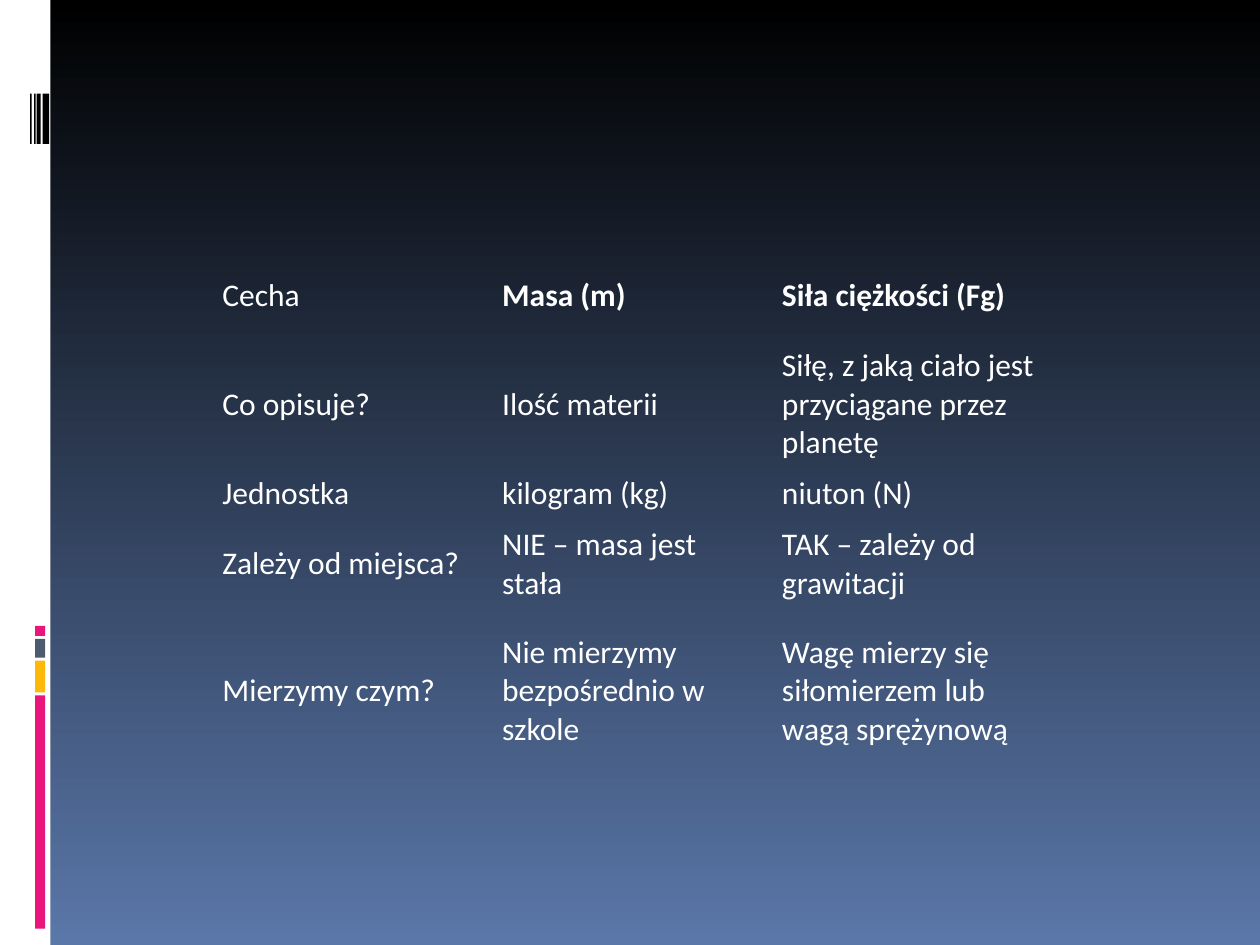
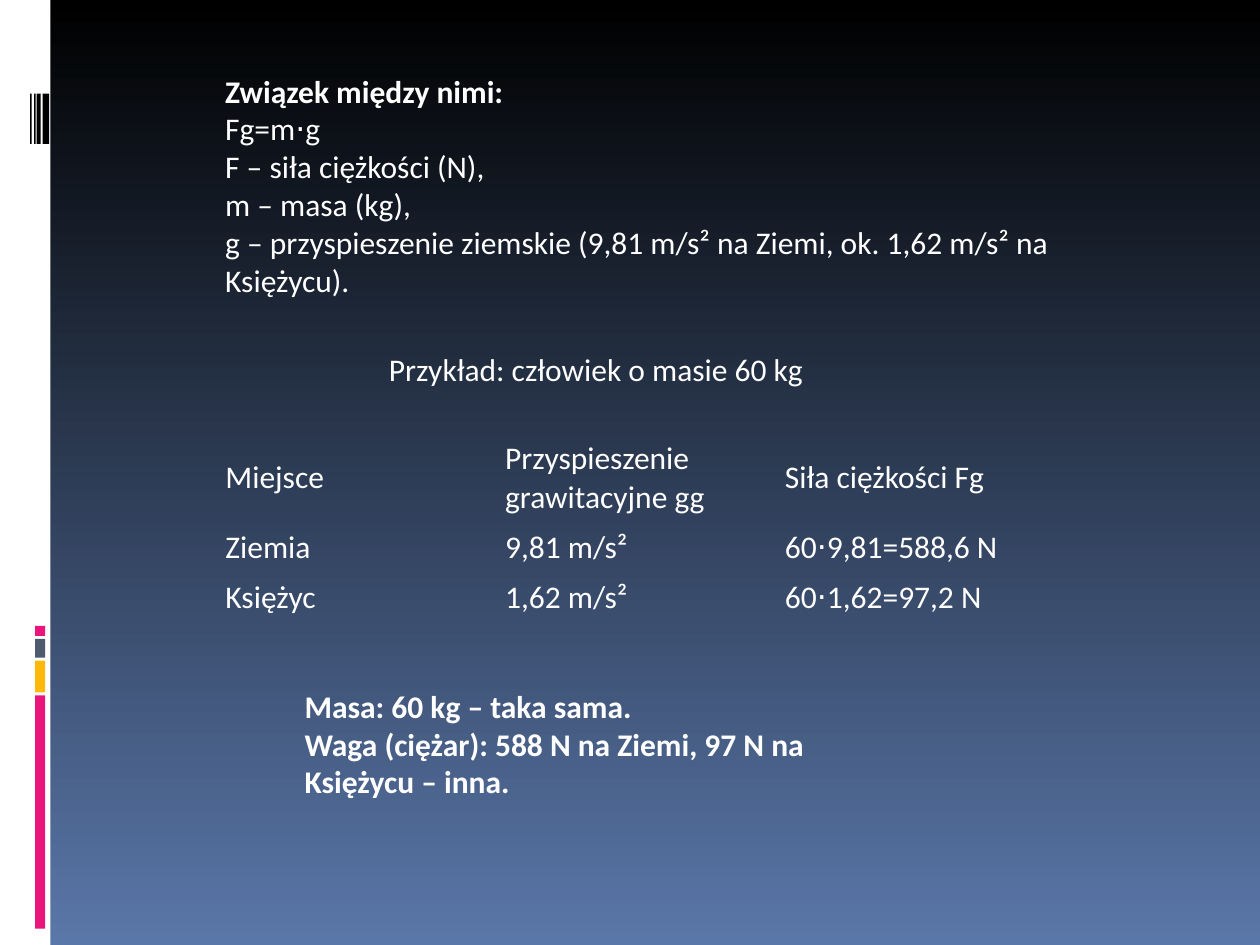
from pptx import Presentation
from pptx.dml.color import RGBColor
from pptx.enum.shapes import MSO_SHAPE
from pptx.enum.text import MSO_ANCHOR, MSO_AUTO_SIZE
from pptx.util import Cm, Pt

WHITE = RGBColor(0xFF, 0xFF, 0xFF)
BLACK = RGBColor(0x00, 0x00, 0x00)
BLUE = RGBColor(0x5A, 0x77, 0xA9)
PINK = RGBColor(0xEA, 0x15, 0x7A)
YELLOW = RGBColor(0xFE, 0xB8, 0x0A)
SLATE = RGBColor(0x4E, 0x5B, 0x6F)

RECTANGLE = MSO_SHAPE.RECTANGLE
MIDDLE = MSO_ANCHOR.MIDDLE
GROW = MSO_AUTO_SIZE.SHAPE_TO_FIT_TEXT

NO_TABLE_STYLE = "{2D5ABB26-0587-4C30-8999-92F81FD0307C}"
BODY = {"name": "Calibri", "size": Pt(18), "bold": False}
STRIPES = [(4.7, PINK), (0.64, YELLOW), (0.38, SLATE), (0.2, PINK)]
STRIPE_BOTTOM, STRIPE_GAP = 18.72, 0.06
BARCODE = [(0.86, 0.13), (0.74, 0.08), (0.69, 0.03), (0.61, 0.03)]
COLUMN_WIDTH = 5.64

MASS_AND_WEIGHT = [
    ["Cecha", "Masa (m)", "Siła ciężkości (Fg)"],
    ["Co opisuje?", "Ilość materii", "Siłę, z jaką ciało jest przyciągane przez planetę"],
    ["Jednostka", "kilogram (kg)", "niuton (N)"],
    ["Zależy od miejsca?", "NIE – masa jest stała", "TAK – zależy od grawitacji"],
    ["Mierzymy czym?", "Nie mierzymy bezpośrednio w szkole",
     "Wagę mierzy się siłomierzem lub wagą sprężynową"],
]
EARTH_AND_MOON = [
    ["Miejsce", "Przyspieszenie grawitacyjne gg", "Siła ciężkości Fg"],
    ["Ziemia", "9,81 m/s²", "60⋅9,81=588,6 N"],
    ["Księżyc", "1,62 m/s²", "60⋅1,62=97,2 N"],
]
RELATION = [
    "Związek między nimi:",
    "Fg=m⋅g",
    "F – siła ciężkości (N),",
    "m – masa (kg),",
    "g – przyspieszenie ziemskie (9,81 m/s² na Ziemi, ok. 1,62 m/s² na Księżycu).",
]
CONCLUSION = "Masa: 60 kg – taka sama.\nWaga (ciężar): 588 N na Ziemi, 97 N na Księżycu – inna."


class Deck:
    def __init__(self):
        self.presentation = Presentation()
        self.presentation.slide_width = Cm(25.4)
        self.presentation.slide_height = Cm(19.05)
        backdrop = self.presentation.slide_master.background.fill
        backdrop.gradient()
        backdrop.gradient_angle = 270
        for stop, color in zip(backdrop.gradient_stops, (BLACK, BLUE)):
            stop.color.rgb = color
        self.slide = None

    def add_slide(self):
        self.slide = self.presentation.slides.add_slide(self.presentation.slide_layouts[6])
        self.bar(0, 0, 1.02, 19.05, WHITE)
        bottom = STRIPE_BOTTOM
        for height, color in STRIPES:
            self.bar(0.71, bottom - height, 0.2, height, color)
            bottom -= height + STRIPE_GAP
        for left, width in BARCODE:
            self.bar(left, 1.89, width, 1.01, BLACK)

    def bar(self, left, top, width, height, color):
        bar = self.slide.shapes.add_shape(RECTANGLE, Cm(left), Cm(top), Cm(width), Cm(height))
        bar.shadow.inherit = False
        bar.fill.solid()
        bar.fill.fore_color.rgb = color
        bar.line.fill.background()

    def fill_paragraph(self, paragraph, words, bold=False):
        paragraph.text = words
        for run in paragraph.runs:
            for attribute, value in {**BODY, "bold": bold}.items():
                setattr(run.font, attribute, value)
            run.font.color.rgb = WHITE

    def text(self, left, top, width, height, paragraphs, bold_first=False, wrap=True):
        box = self.slide.shapes.add_textbox(Cm(left), Cm(top), Cm(width), Cm(height))
        frame = box.text_frame
        frame.word_wrap = wrap
        frame.auto_size = GROW
        for index, words in enumerate(paragraphs):
            paragraph = frame.add_paragraph() if index else frame.paragraphs[0]
            self.fill_paragraph(paragraph, words, bold_first and index == 0)

    def table(self, left, top, row_heights, rows, bold_cells=()):
        columns = len(rows[0])
        table = self.slide.shapes.add_table(
            len(rows), columns, Cm(left), Cm(top),
            Cm(COLUMN_WIDTH * columns), Cm(sum(row_heights))).table
        table.first_row = table.horz_banding = False
        table._tbl.tblPr[0].text = NO_TABLE_STYLE
        for column in table.columns:
            column.width = Cm(COLUMN_WIDTH)
        for r, (height, row) in enumerate(zip(row_heights, rows)):
            table.rows[r].height = Cm(height)
            for c, words in enumerate(row):
                cell = table.cell(r, c)
                cell.fill.background()
                cell.vertical_anchor = MIDDLE
                self.fill_paragraph(cell.text_frame.paragraphs[0], words, (r, c) in bold_cells)


def main():
    deck = Deck()

    deck.add_slide()
    deck.table(4.23, 5.08, [1.78, 2.54, 1.02, 1.78, 3.3], MASS_AND_WEIGHT,
               bold_cells=[(0, 1), (0, 2)])

    deck.add_slide()
    deck.text(4.29, 1.32, 17.2, 5.59, RELATION, bold_first=True)
    deck.table(4.29, 8.74, [1.78, 1.02, 1.02], EARTH_AND_MOON)
    deck.text(7.59, 6.93, 10.13, 1.02, ["Przykład: człowiek o masie 60 kg"], wrap=False)
    deck.text(5.89, 13.72, 12.7, 2.54, [CONCLUSION], bold_first=True)

    deck.presentation.save("out.pptx")


if __name__ == "__main__":
    main()
